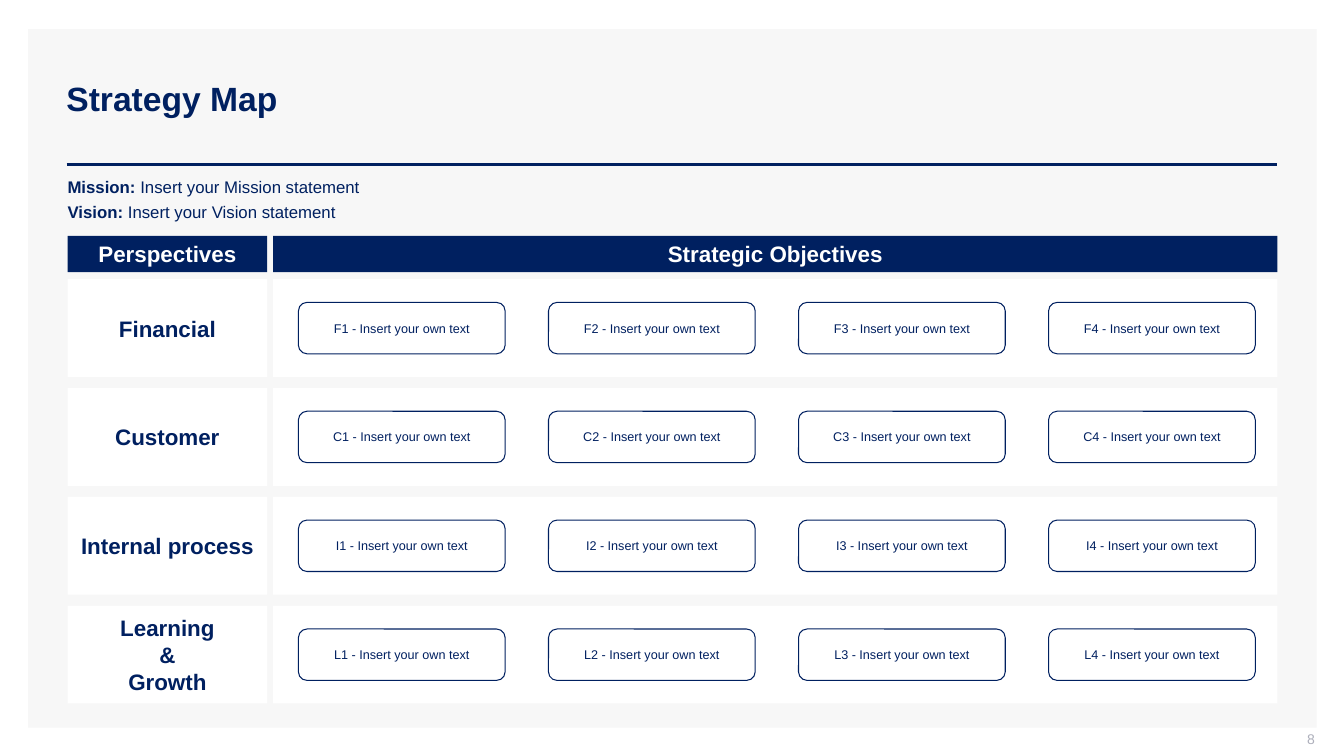
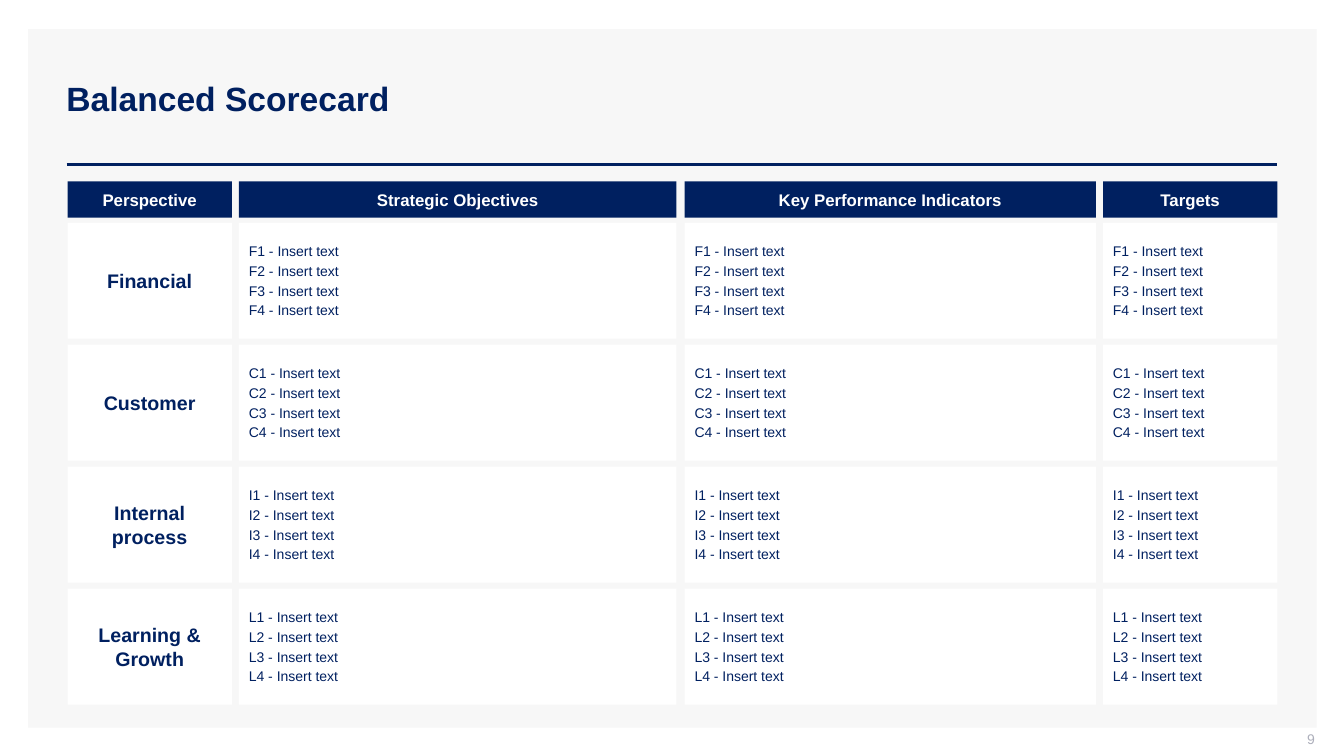
from lxml import etree
from pptx import Presentation
from pptx.dml.color import RGBColor
from pptx.enum.shapes import MSO_CONNECTOR, MSO_SHAPE
from pptx.enum.text import MSO_ANCHOR, PP_ALIGN
from pptx.oxml.ns import qn
from pptx.util import Inches, Pt

NAVY = RGBColor(0x00, 0x20, 0x60)
WHITE = RGBColor(0xFF, 0xFF, 0xFF)
PANEL = RGBColor(0xF7, 0xF7, 0xF7)
GREY = RGBColor(0xAD, 0xAF, 0xBB)
FONT = "Arial"
LEFT, RIGHT = 0.67, 12.67


def write(tf, paragraphs, size=12, color=NAVY, bold=False, align=PP_ALIGN.LEFT,
          anchor=MSO_ANCHOR.MIDDLE, insets=(0.1, 0.05, 0.1, 0.05),
          space=0, line_spacing=None):
    tf.word_wrap = True
    tf.vertical_anchor = anchor
    tf.margin_left, tf.margin_top, tf.margin_right, tf.margin_bottom = map(Inches, insets)
    for i, runs in enumerate(paragraphs):
        p = tf.add_paragraph() if i else tf.paragraphs[0]
        p.alignment = align
        p.space_before = p.space_after = Pt(space)
        if line_spacing:
            p.line_spacing = line_spacing
        if isinstance(runs, str):
            runs = [(runs, bold)]
        for text, is_bold in runs:
            r = p.add_run()
            r.text = text
            r.font.name = FONT
            r.font.size = Pt(size)
            r.font.bold = is_bold
            r.font.color.rgb = color


class Deck:
    def __init__(self):
        self.prs = Presentation()
        self.prs.slide_width = Inches(13.33)
        self.prs.slide_height = Inches(7.5)
        self.s = None

    def new_slide(self, title, number):
        self.s = self.prs.slides.add_slide(self.prs.slide_layouts[6])
        self.box(0.28, 0.29, 12.78, 6.93, fill=PANEL)
        self.rule(0.66, 1.63, RIGHT)
        self.text(0.56, 0.4, 12.11, 1.19, [title], size=24, bold=True, line_spacing=0.9)
        self.text(10.04, 7.25, 3, 0.21, [str(number)], size=10, color=GREY,
                  align=PP_ALIGN.RIGHT, insets=(0.1, 0, 0, 0.05))

    def box(self, x, y, w, h, paragraphs=(), fill=WHITE, line=None,
            shape=MSO_SHAPE.RECTANGLE, **fmt):
        sp = self.s.shapes.add_shape(shape, Inches(x), Inches(y), Inches(w), Inches(h))
        sp.shadow.inherit = False
        sp.fill.solid()
        sp.fill.fore_color.rgb = fill
        if line is None:
            sp.line.fill.background()
        else:
            sp.line.color.rgb = line
            sp.line.width = Pt(0.75)
        if paragraphs:
            write(sp.text_frame, paragraphs, **fmt)

    def text(self, x, y, w, h, paragraphs, **fmt):
        sp = self.s.shapes.add_textbox(Inches(x), Inches(y), Inches(w), Inches(h))
        write(sp.text_frame, paragraphs, **fmt)

    def rule(self, x1, y, x2):
        cn = self.s.shapes.add_connector(
            MSO_CONNECTOR.STRAIGHT, Inches(x1), Inches(y), Inches(x2), Inches(y))
        cn.line.color.rgb = NAVY
        cn.line.width = Pt(2)
        etree.SubElement(cn.element.spPr, qn("a:effectLst"))

    def header(self, x, y, w, label, size):
        self.box(x, y, w, 0.36, [label], fill=NAVY, size=size, color=WHITE,
                 bold=True, align=PP_ALIGN.CENTER)

    def perspective(self, x, y, w, h, lines, size):
        self.box(x, y, w, h, lines, size=size, bold=True, align=PP_ALIGN.CENTER)

    def objective(self, x, y, label):
        self.box(x, y, 2.05, 0.51, [label], line=NAVY, size=9,
                 shape=MSO_SHAPE.ROUNDED_RECTANGLE, align=PP_ALIGN.CENTER)


def strategy_map(deck):
    deck.new_slide("Strategy Map", 8)
    deck.text(LEFT, 1.75, 11.87, 0.46, [
        [("Mission: ", True), ("Insert your Mission statement", False)],
        [("Vision: ", True), ("Insert your Vision statement", False)],
    ], anchor=MSO_ANCHOR.TOP, insets=(0, 0, 0, 0), space=2)

    label_w, lane_x, row_h = 1.98, 2.71, 0.97
    lane_w = RIGHT - lane_x
    deck.header(LEFT, 2.34, label_w, "Perspectives", 16)
    deck.header(lane_x, 2.34, lane_w, "Strategic Objectives", 16)
    rows = [["Financial"], ["Customer"], ["Internal process"], ["Learning", "&", "Growth"]]
    for row, lines in enumerate(rows):
        y = 2.77 + row * 1.08
        deck.perspective(LEFT, y, label_w, row_h, lines, 16)
        deck.box(lane_x, y, lane_w, row_h)
        for col in range(4):
            deck.objective(2.96 + col * 2.48, y + 0.23,
                           f"{lines[0][0]}{col + 1} - Insert your own text")


def balanced_scorecard(deck):
    deck.new_slide("Balanced Scorecard", 9)
    columns = [
        ("Perspective", LEFT, 1.63),
        ("Strategic Objectives", 2.37, 4.34),
        ("Key Performance Indicators", 6.79, 4.08),
        ("Targets", 10.94, 1.73),
    ]
    for label, x, w in columns:
        deck.header(x, 1.8, w, label, 12)
    row_h = 1.15
    names = ["Financial", "Customer", "Internal process", "Learning & Growth"]
    for row, name in enumerate(names):
        y = 2.21 + row * 1.21
        items = [f"{name[0]}{n} - Insert text" for n in range(1, 5)]
        deck.perspective(LEFT, y, columns[0][2], row_h, [name], 14)
        for _, x, w in columns[1:]:
            deck.box(x, y, w, row_h, items, size=10, space=1,
                     insets=(0.1, 0.05, 0.02, 0.05))


def main():
    deck = Deck()
    strategy_map(deck)
    balanced_scorecard(deck)
    deck.prs.save("out.pptx")


if __name__ == "__main__":
    main()
